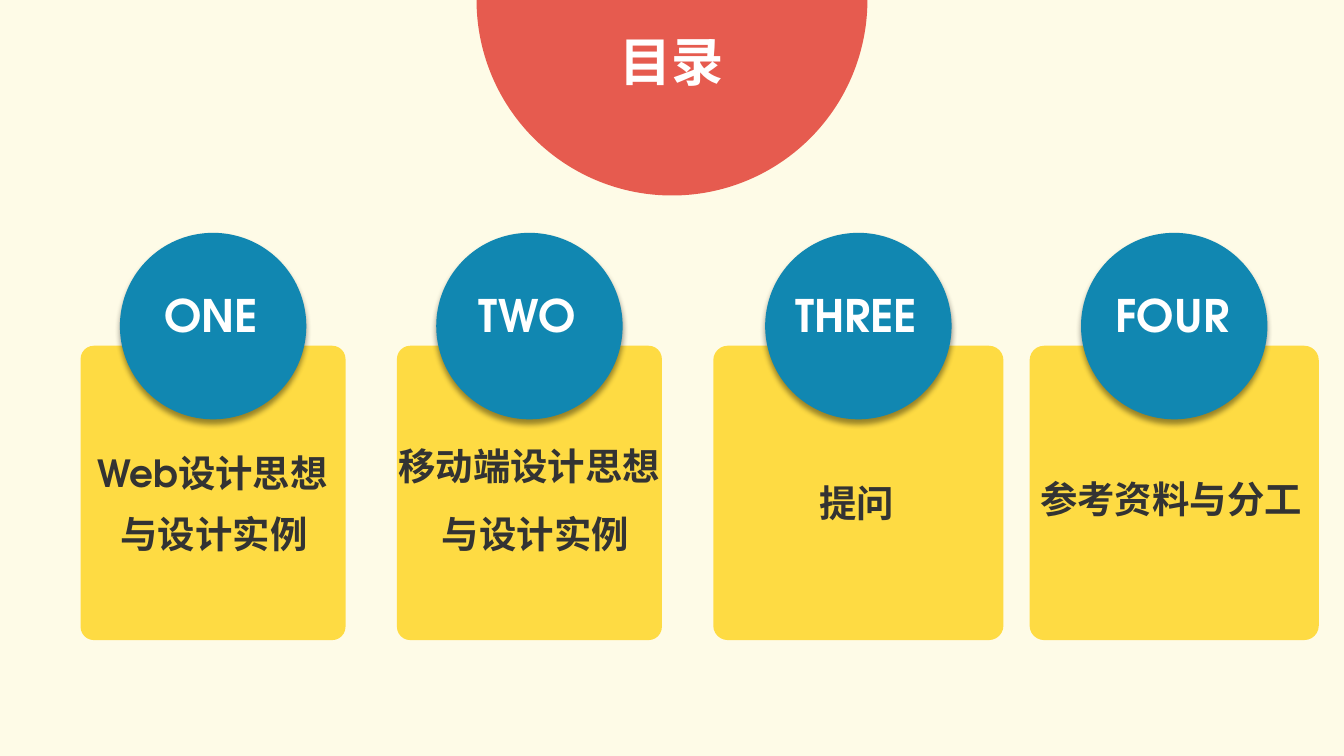
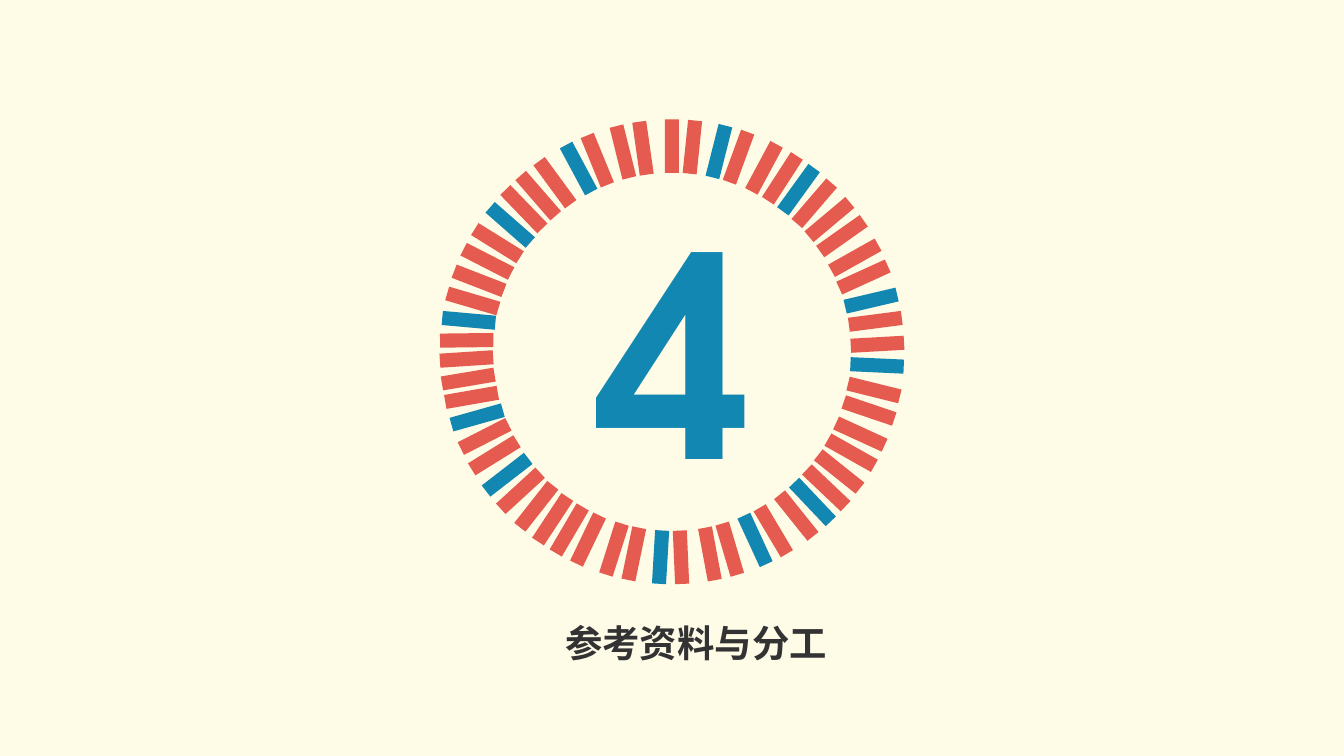
import math
from dataclasses import dataclass
from typing import Any

import lxml.etree
import pptx
import pptx.dml.color
import pptx.enum.shapes
import pptx.enum.text
import pptx.oxml.ns
import pptx.util

Inches = pptx.util.Inches
RGBColor = pptx.dml.color.RGBColor
Preset = pptx.enum.shapes.MSO_SHAPE
AutoSize = pptx.enum.text.MSO_AUTO_SIZE

CREAM = RGBColor(0xFE, 0xFB, 0xE7)
YELLOW = RGBColor(0xFE, 0xDB, 0x43)
BLUE = RGBColor(0x11, 0x87, 0xB1)
RED = RGBColor(0xE6, 0x5B, 0x4F)
WHITE = RGBColor(0xFF, 0xFF, 0xFF)
CHARCOAL = RGBColor(0x33, 0x33, 0x33)
FONT = "TeX Gyre Adventor"
CAPTION_SIZE = 26.7
TITLE_ONLY = 5

CARD_LEFT, CARD_PITCH, CARD_TOP, CARD_HEIGHT = 0.8, 3.14, 3.43, 2.92
BADGE_TOP, BADGE_SIZE = 2.31, 1.85
LABEL_TOP, LABEL_WIDTH, LABEL_HEIGHT = 2.81, 1.42, 0.64
LABEL_SHIFT = -0.02

RING_X, RING_Y, RING_RADIUS = 6.67, 3.49, 2.04
BAR_WIDTH, BAR_HEIGHT = 0.14, 0.53
BAR_TILTS = (0, 5.9, 14.2, 20.1, 28.2, 32.9, 35.9, 40.7, 50, 54.8, 60.7, 65.5, 76.8, 82.6)
BAR_ANGLES = (0, 5.7, 13.2, 18.9, 26.6, 32.5, 38, 43.8, 50, 55.8)
EVEN_TAIL = (62.8, 68.7, 75.6, 81.5)


@dataclass(frozen=True)
class Box:
    left: float
    top: float
    width: float
    height: float

    def lengths(self) -> tuple[int, ...]:
        return tuple(Inches(value) for value in (self.left, self.top, self.width, self.height))


@dataclass(frozen=True)
class Caption:
    text: str
    box: Box


@dataclass(frozen=True)
class Card:
    label: str
    width: float
    captions: tuple[Caption, ...]


@dataclass(frozen=True)
class Arc:
    """A quarter of the ring: start in clock degrees, turn 1 is clockwise, -1 the reverse."""
    start: float
    turn: int
    blue_bars: tuple[int, ...]
    tail: tuple[float, ...] = EVEN_TAIL


CARDS = (
    Card("ONE", 2.63, (
        Caption("Web设计思想", Box(0.71, 4.28, 2.8, 0.63)),
        Caption("与设计实例", Box(0.84, 4.89, 2.57, 0.68)),
    )),
    Card("TWO", 2.63, (
        Caption("移动端设计思想", Box(3.83, 4.21, 2.85, 0.68)),
        Caption("与设计实例", Box(3.9, 4.89, 2.83, 0.68)),
    )),
    Card("THREE", 2.88, (Caption("提问", Box(7.09, 4.58, 2.83, 0.62)),)),
    Card("FOUR", 2.87, (Caption("参考资料与分工", Box(10.21, 4.54, 2.83, 0.68)),)),
)
ARCS = (
    Arc(0, 1, (2, 6, 12)),
    Arc(-8.1, -1, (3, 7, 12), (61.7, 67.6, 73.1, 78.7)),
    Arc(169.4, -1, (2, 5, 12)),
    Arc(177.5, 1, (1, 9, 12), (62.3, 68.2, 73.9, 79.7)),
)
# Angle and tilt of the two bars that close the gap on the left.
CLOSING_BARS = ((262.4, 260.5), (268, 266.3))


def add_filled(shapes: Any, preset: Any, box: Box, color: RGBColor) -> Any:
    shape = shapes.add_shape(preset, *box.lengths())
    shape.fill.solid()
    shape.fill.fore_color.rgb = color
    shape.line.fill.background()
    shape.shadow.inherit = False
    return shape


def write(shape: Any, text: str, size: float, color: RGBColor,
          spacing: float = 1.0, wrap: bool = True) -> None:
    frame = shape.text_frame
    frame.word_wrap = wrap
    frame.auto_size = AutoSize.SHAPE_TO_FIT_TEXT
    frame.vertical_anchor = pptx.enum.text.MSO_ANCHOR.TOP
    para = frame.paragraphs[0]
    para.text = text
    para.alignment = pptx.enum.text.PP_ALIGN.CENTER
    para.line_spacing = spacing
    para.font.name = FONT
    para.font.size = pptx.util.Pt(size)
    para.font.bold = True
    para.font.color.rgb = color


def add_text(shapes: Any, box: Box, text: str, size: float, color: RGBColor,
             spacing: float = 1.0, wrap: bool = True) -> None:
    write(shapes.add_textbox(*box.lengths()), text, size, color, spacing, wrap)


def set_title(slide: Any, box: Box, text: str, size: float, color: RGBColor,
              spacing: float = 1.0, wrap: bool = True) -> None:
    """Fill the title placeholder and bring it in front of the other shapes."""
    title = slide.shapes.title
    title.left, title.top, title.width, title.height = box.lengths()
    write(title, text, size, color, spacing, wrap)
    title.element.getparent().append(title.element)


def add_drop_shadow(shape: Any) -> None:
    qn = pptx.oxml.ns.qn
    effects = shape.element.spPr.find(qn("a:effectLst"))
    shadow = lxml.etree.SubElement(
        effects, qn("a:outerShdw"), blurRad=str(pptx.util.Pt(4)), dist=str(pptx.util.Pt(3)),
        dir="5400000", algn="t", rotWithShape="0")
    black = lxml.etree.SubElement(shadow, qn("a:srgbClr"), val="000000")
    lxml.etree.SubElement(black, qn("a:alpha"), val="40000")


def add_card(slide: Any, card: Card, left: float) -> None:
    panel = add_filled(slide.shapes, Preset.ROUNDED_RECTANGLE,
                       Box(left, CARD_TOP, card.width, CARD_HEIGHT), YELLOW)
    panel.adjustments[0] = 0.05
    middle = left + card.width / 2
    badge = slide.shapes.add_group_shape().shapes
    disc = add_filled(badge, Preset.OVAL,
                      Box(middle - BADGE_SIZE / 2, BADGE_TOP, BADGE_SIZE, BADGE_SIZE), BLUE)
    add_drop_shadow(disc)
    label_left = middle + LABEL_SHIFT - LABEL_WIDTH / 2
    add_text(badge, Box(label_left, LABEL_TOP, LABEL_WIDTH, LABEL_HEIGHT),
             card.label, 32, WHITE, wrap=False)
    for caption in card.captions:
        add_text(slide.shapes, caption.box, caption.text, CAPTION_SIZE, CHARCOAL, 1.3)


def add_bar(shapes: Any, angle: float, tilt: float, color: RGBColor) -> None:
    x = RING_X + RING_RADIUS * math.sin(math.radians(angle))
    y = RING_Y - RING_RADIUS * math.cos(math.radians(angle))
    box = Box(x - BAR_WIDTH / 2, y - BAR_HEIGHT / 2, BAR_WIDTH, BAR_HEIGHT)
    add_filled(shapes, Preset.RECTANGLE, box, color).rotation = tilt % 360


def build_contents(deck: Any) -> None:
    slide = deck.slides.add_slide(deck.slide_layouts[TITLE_ONLY])
    for index, card in enumerate(CARDS):
        add_card(slide, card, CARD_LEFT + index * CARD_PITCH)
    add_filled(slide.shapes, Preset.OVAL, Box(4.73, -1.94, 3.88, 3.88), RED)
    set_title(slide, Box(6.04, 0.24, 1.25, 0.73), "目录", 37.3, WHITE, wrap=False)


def build_section(deck: Any) -> None:
    slide = deck.slides.add_slide(deck.slide_layouts[TITLE_ONLY])
    ring = slide.shapes.add_group_shape().shapes
    for arc in ARCS:
        for index, (angle, tilt) in enumerate(zip(BAR_ANGLES + arc.tail, BAR_TILTS)):
            color = BLUE if index in arc.blue_bars else RED
            add_bar(ring, arc.start + arc.turn * angle, arc.start + arc.turn * tilt, color)
    for angle, tilt in CLOSING_BARS:
        add_bar(ring, angle, tilt, RED)
    add_text(ring, Box(5.81, 1.73, 1.77, 3.47), "4", 200, BLUE, wrap=False)
    set_title(slide, Box(5.4, 6.06, 3.02, 0.59), "参考资料与分工", CAPTION_SIZE, CHARCOAL, 1.1)


def main() -> None:
    deck = pptx.Presentation()
    deck.slide_width, deck.slide_height = Inches(13.34), Inches(7.5)
    background = deck.slide_master.background.fill
    background.solid()
    background.fore_color.rgb = CREAM
    build_contents(deck)
    build_section(deck)
    deck.save("out.pptx")


if __name__ == "__main__":
    main()
